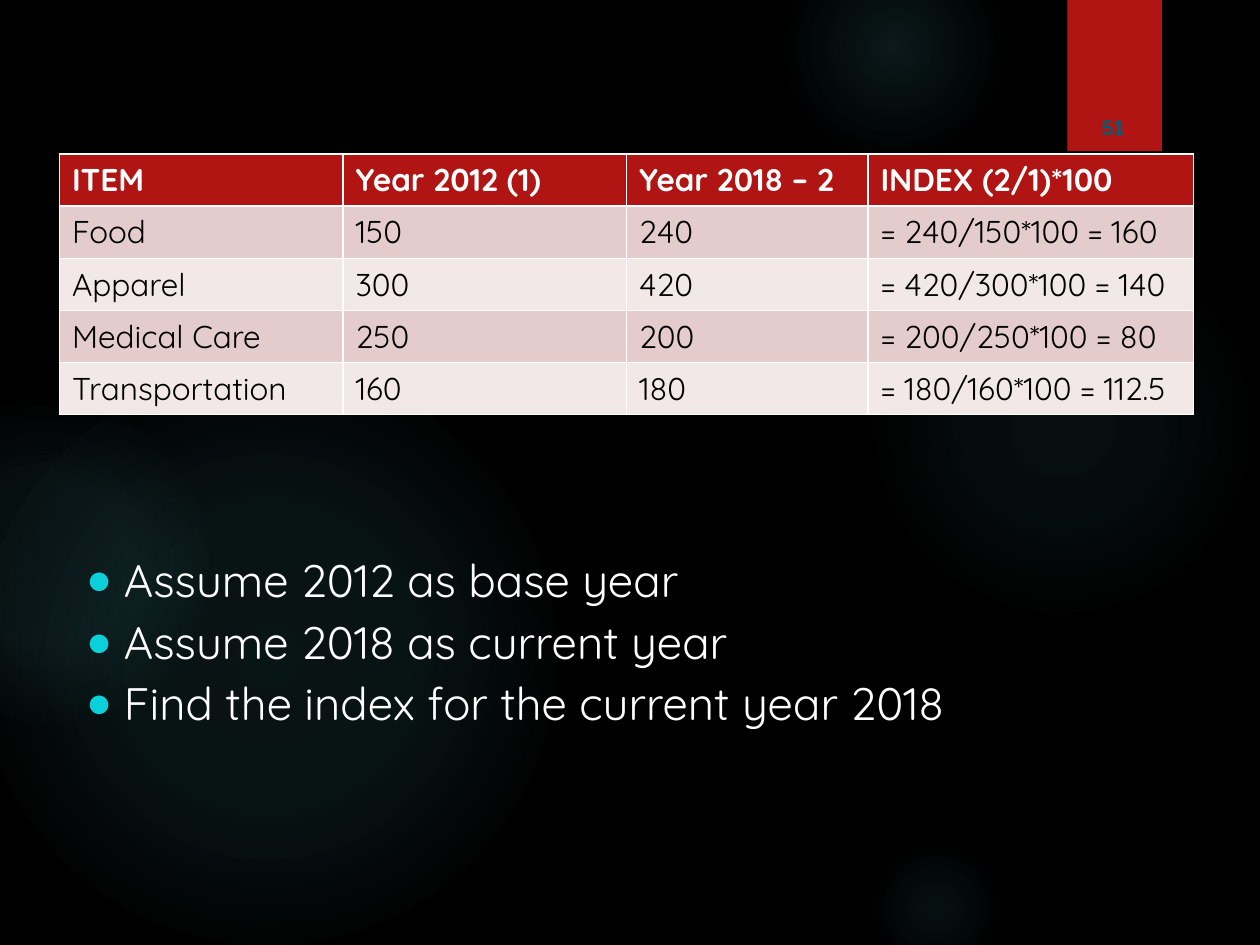
import pptx
import pptx.dml.color
import pptx.enum.shapes
import pptx.enum.text
import pptx.oxml
import pptx.oxml.ns
import pptx.util

Pt = pptx.util.Pt
SHAPE = pptx.enum.shapes.MSO_SHAPE
ANCHOR = pptx.enum.text.MSO_ANCHOR
ALIGN = pptx.enum.text.PP_ALIGN
NS = pptx.oxml.ns.nsdecls("a")


def rgb(value):
    return pptx.dml.color.RGBColor.from_string(value)


class Deck:
    FONT = "Quicksand"
    WHITE, BLACK = "FFFFFF", "000000"
    RED, GLOW, BULLET, NUMBER = "B01513", "50B9C1", "0BD0D9", "045C75"
    BANDS = ("E4CCCC", "F2E8E7")

    def __init__(self, width, height):
        self.prs = pptx.Presentation()
        self.prs.slide_width, self.prs.slide_height = Pt(width), Pt(height)
        self.s = self.prs.slides.add_slide(self.prs.slide_layouts[1])
        title = self.s.shapes.title
        title._element.getparent().remove(title._element)
        fill = self.s.background.fill
        fill.solid()
        fill.fore_color.rgb = rgb(self.BLACK)

    def run(self, p, text, size, color, bold=False, font=FONT):
        r = p.add_run()
        r.text = text
        r.font.name, r.font.size, r.font.bold = font, Pt(size), bold
        r.font.color.rgb = rgb(color)

    def shape(self, kind, x, y, w, h):
        sp = self.s.shapes.add_shape(kind, Pt(x), Pt(y), Pt(w), Pt(h))
        sp.shadow.inherit = False
        sp.line.fill.background()
        sp.fill.solid()
        return sp

    def glow(self, x, y, size, stops):
        sp = self.shape(SHAPE.OVAL, x, y, size, size)
        gs = "".join(
            f'<a:gs pos="{pos * 1000}"><a:srgbClr val="{self.GLOW}">'
            f'<a:alpha val="{alpha * 1000}"/></a:srgbClr></a:gs>'
            for pos, alpha in stops)
        grad = pptx.oxml.parse_xml(
            f'<a:gradFill {NS} rotWithShape="1"><a:gsLst>{gs}</a:gsLst><a:path path="circle">'
            '<a:fillToRect l="50000" t="50000" r="50000" b="50000"/></a:path></a:gradFill>')
        spPr = sp._element.spPr
        spPr.replace(spPr.find(pptx.oxml.ns.qn("a:solidFill")), grad)

    def ribbon(self, x, y, w, h):
        sp = self.shape(SHAPE.RECTANGLE, x, y, w, h)
        sp.fill.fore_color.rgb = rgb(self.RED)
        effects = sp._element.spPr.find(pptx.oxml.ns.qn("a:effectLst"))
        effects.append(pptx.oxml.parse_xml(
            f'<a:outerShdw {NS} blurRad="{Pt(3)}" dist="{Pt(2)}" dir="5400000" rotWithShape="0">'
            f'<a:srgbClr val="{self.BLACK}"><a:alpha val="45000"/></a:srgbClr></a:outerShdw>'))

    def table(self, x, y, widths, row_height, rows):
        frame = self.s.shapes.add_table(
            len(rows), len(widths), Pt(x), Pt(y), Pt(sum(widths)), Pt(row_height * len(rows)))
        tbl = frame.table
        for column, width in zip(tbl.columns, widths):
            column.width = Pt(width)
        for i, values in enumerate(rows):
            tbl.rows[i].height = Pt(row_height)
            header = i == 0
            for j, text in enumerate(values):
                cell = tbl.cell(i, j)
                cell.fill.solid()
                cell.fill.fore_color.rgb = rgb(self.RED if header else self.BANDS[(i - 1) % 2])
                color = self.WHITE if header else self.BLACK
                self.run(cell.text_frame.paragraphs[0], text, 18, color, header)

    def page_number(self, x, y, w, h, text):
        tf = self.s.shapes.add_textbox(Pt(x), Pt(y), Pt(w), Pt(h)).text_frame
        tf.word_wrap = True
        tf.vertical_anchor = ANCHOR.BOTTOM
        p = tf.paragraphs[0]
        p.alignment = ALIGN.CENTER
        self.run(p, text, 12, self.NUMBER, True, "Arial")

    def bullets(self, x, y, w, h, items):
        sp = self.s.placeholders[1]
        self.s.shapes._spTree.append(sp._element)
        sp.left, sp.top, sp.width, sp.height = Pt(x), Pt(y), Pt(w), Pt(h)
        tf = sp.text_frame
        tf.auto_size = pptx.enum.text.MSO_AUTO_SIZE.NONE
        tf.vertical_anchor = ANCHOR.TOP
        for i, text in enumerate(items):
            p = tf.add_paragraph() if i else tf.paragraphs[0]
            pPr = p._p.get_or_add_pPr()
            pPr.set("marL", str(Pt(21.6)))
            pPr.set("indent", str(-Pt(21.6)))
            for xml in (f'<a:buClr {NS}><a:srgbClr val="{self.BULLET}"/></a:buClr>',
                        f'<a:buSzPct {NS} val="95000"/>',
                        f'<a:buFont {NS} typeface="Arial"/>',
                        f'<a:buChar {NS} char="●"/>'):
                pPr.append(pptx.oxml.parse_xml(xml))
            p.space_before = Pt(4 if i else 0)
            self.run(p, text, 26, self.WHITE)


def main():
    deck = Deck(720, 540)
    for x, y, size, stops in (
            (496, 132, 222, ((0, 7), (36, 6), (69, 0), (100, 0))),
            (448, -36, 126, ((0, 14), (36, 7), (73, 0), (100, 0))),
            (496, 480, 78, ((0, 9), (36, 5), (66, 0), (100, 0))),
            (-12, 210, 330, ((0, 11), (36, 10), (75, 0), (100, 0))),
            (-66, 228, 186, ((0, 8), (36, 8), (72, 0), (100, 0)))):
        deck.glow(x, y, size, stops)
    deck.ribbon(610, 0, 54, 86.4)
    deck.table(34, 88, (162, 162, 138, 186), 29.7, (
        ("ITEM", "Year 2012 (1)", "Year 2018 – 2", "INDEX (2/1)*100"),
        ("Food", "150", "240", "= 240/150*100 = 160"),
        ("Apparel", "300", "420", "= 420/300*100 = 140"),
        ("Medical Care", "250", "200", "= 200/250*100 = 80"),
        ("Transportation", "160", "180", "= 180/160*100 = 112.5")))
    deck.page_number(611.3, 23, 49.7, 60.5, "51")
    deck.bullets(42, 312, 642, 138, (
        "Assume 2012 as base year",
        "Assume 2018 as current year",
        "Find the index for the current year 2018"))
    deck.prs.save("out.pptx")


if __name__ == "__main__":
    main()
